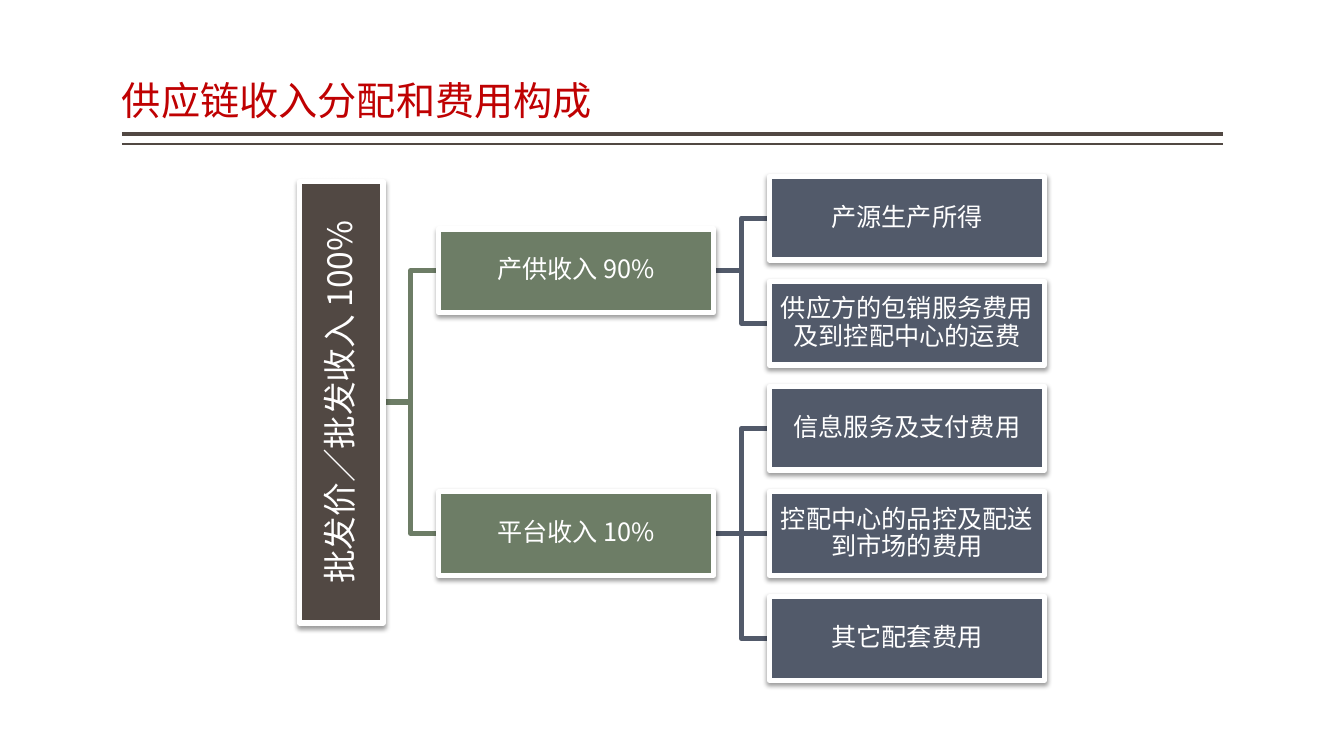
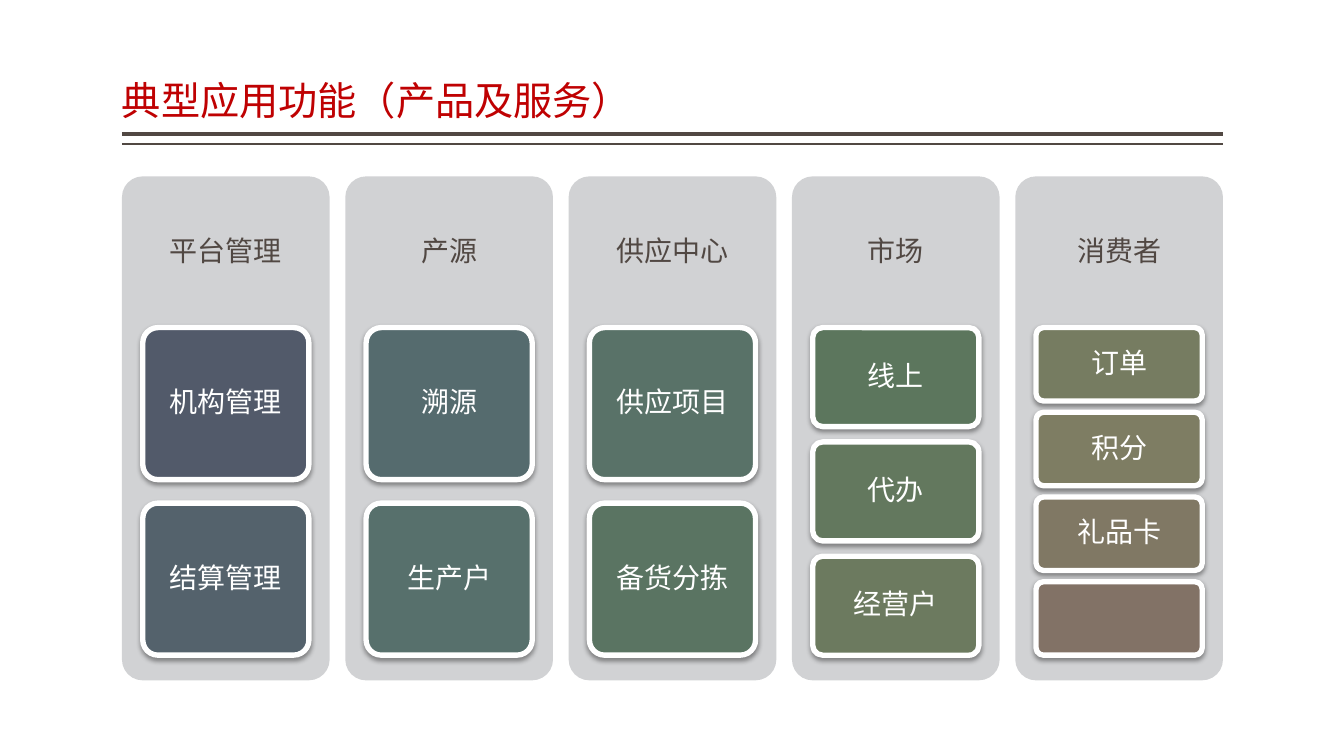
from lxml import etree
from pptx import Presentation
from pptx.dml.color import RGBColor
from pptx.enum import shapes, text
from pptx.oxml.ns import qn
from pptx.util import Inches, Pt

FONT = "Noto Sans CJK SC"
WHITE = RGBColor(0xFF, 0xFF, 0xFF)
RED = RGBColor(0xBF, 0x01, 0x02)
BROWN = RGBColor(0x51, 0x48, 0x43)
GREEN = RGBColor(0x6D, 0x7D, 0x66)
SLATE = RGBColor(0x52, 0x5A, 0x6A)
PANEL_GREY = RGBColor(0xD1, 0xD2, 0xD4)

LEFT, RIGHT, TOP = 1.21, 12.13, 1.75

INCOME_TITLE = "供应链收入分配和费用构成"
INCOME_ROOT = "批发价／批发收入 100%"
INCOME_BRANCHES = [
    ("产供收入 90%", ["产源生产所得", "供应方的包销服务费用及到控配中心的运费"]),
    ("平台收入 10%", ["信息服务及支付费用", "控配中心的品控及配送到市场的费用",
                  "其它配套费用"]),
]

FUNCTIONS_TITLE = "典型应用功能（产品及服务）"
FUNCTION_GROUPS = [
    ("平台管理", [("机构管理", SLATE), ("结算管理", RGBColor(0x54, 0x62, 0x6C))]),
    ("产源", [("溯源", RGBColor(0x55, 0x6B, 0x6E)),
            ("生产户", RGBColor(0x57, 0x70, 0x6C))]),
    ("供应中心", [("供应项目", RGBColor(0x59, 0x72, 0x68)),
              ("备货分拣", RGBColor(0x5A, 0x74, 0x62))]),
    ("市场", [("线上", RGBColor(0x5C, 0x76, 0x5D)),
            ("代办", RGBColor(0x63, 0x78, 0x5E)),
            ("经营户", RGBColor(0x6C, 0x7A, 0x5F))]),
    ("消费者", [("订单", RGBColor(0x76, 0x7C, 0x61)),
             ("积分", RGBColor(0x7E, 0x7D, 0x63)),
             ("礼品卡", RGBColor(0x80, 0x78, 0x64)),
             ("", RGBColor(0x82, 0x72, 0x66))]),
]


def write(shape, words, size, color, margins, align=text.PP_ALIGN.CENTER,
          anchor=text.MSO_ANCHOR.MIDDLE):
    """Fill a shape with one paragraph; margins are left, top, right, bottom."""
    frame = shape.text_frame
    frame.word_wrap = True
    frame.vertical_anchor = anchor
    (frame.margin_left, frame.margin_top,
     frame.margin_right, frame.margin_bottom) = map(Inches, margins)
    paragraph = frame.paragraphs[0]
    paragraph.alignment = align
    paragraph.line_spacing = 0.9
    run = paragraph.add_run()
    run.text = words
    run.font.name = FONT
    run.font.size = Pt(size)
    run.font.color.rgb = color
    etree.SubElement(run.font._element, qn("a:ea"), typeface=FONT)


def add_line(slide, start, end, color, width, kind=shapes.MSO_CONNECTOR.STRAIGHT):
    line = slide.shapes.add_connector(kind, *map(Inches, start + end))
    line.line.color.rgb = color
    line.line.width = Pt(width)
    etree.SubElement(line._element.spPr, qn("a:effectLst"))


def add_block(slide, kind, box, fill):
    shape = slide.shapes.add_shape(kind, *map(Inches, box))
    shape.shadow.inherit = False
    shape.fill.solid()
    shape.fill.fore_color.rgb = fill
    shape.line.fill.background()
    if kind == shapes.MSO_SHAPE.ROUNDED_RECTANGLE:
        shape.adjustments[0] = 0.1
    return shape


def add_card(slide, kind, box, fill, words, size, margins):
    """Add a block with a white border and a soft shadow below it."""
    card = add_block(slide, kind, box, fill)
    card.line.color.rgb = WHITE
    card.line.width = Pt(3.82)
    effects = card._element.spPr.find(qn("a:effectLst"))
    shadow = etree.SubElement(effects, qn("a:outerShdw"), blurRad=str(Pt(3.5)),
                              dist=str(Pt(2)), dir="5400000", rotWithShape="0")
    color = etree.SubElement(shadow, qn("a:srgbClr"), val="000000")
    etree.SubElement(color, qn("a:alpha"), val="38000")
    if words:
        write(card, words, size, WHITE, margins)
    return card


def add_titled_slide(presentation, title):
    slide = presentation.slides.add_slide(presentation.slide_layouts[6])
    for y, width in ((1.33, 3), (1.43, 1)):
        add_line(slide, (LEFT, y), (RIGHT, y), BROWN, width)
    box = slide.shapes.add_textbox(Inches(LEFT), Inches(0.08),
                                   Inches(RIGHT - LEFT), Inches(1.2))
    write(box, title, 28, RED, (0, 0.05, 0, 0.05), text.PP_ALIGN.LEFT,
          text.MSO_ANCHOR.BOTTOM)
    return slide


def build_income_tree(presentation):
    slide = add_titled_slide(presentation, INCOME_TITLE)
    root_length, height, width = 4.38, 0.83, 2.73
    root_x, branch_x, leaf_x = 2.97, 4.35, 7.63
    leaf_step = 1.0425

    def link(x, y, child_x, child_y, color):
        kind = (shapes.MSO_CONNECTOR.STRAIGHT if abs(y - child_y) < 0.01
                else shapes.MSO_CONNECTOR.ELBOW)
        add_line(slide, (x, y), (child_x, child_y), color, 3.78, kind)

    def node(x, y, words, fill, length=width, size=18, inset=0.01):
        return add_card(slide, shapes.MSO_SHAPE.RECTANGLE,
                        (x, y - height / 2, length, height), fill, words, size,
                        (inset,) * 4)

    branches, leaf_y = [], TOP + height / 2
    for name, leaves in INCOME_BRANCHES:
        centres = [leaf_y + index * leaf_step for index in range(len(leaves))]
        leaf_y = centres[-1] + leaf_step
        branches.append((name, sum(centres) / len(centres),
                         list(zip(leaves, centres))))
    root_y = sum(branch[1] for branch in branches) / len(branches)

    for _, y, leaves in branches:
        link(root_x + height, root_y, branch_x, y, GREEN)
        for _, y_leaf in leaves:
            link(branch_x + width, y, leaf_x, y_leaf, SLATE)

    root = node(root_x + (height - root_length) / 2, root_y, INCOME_ROOT, BROWN,
                root_length, 24, 0.02)
    root.rotation = 270
    for name, y, leaves in branches:
        node(branch_x, y, name, GREEN)
        for words, y_leaf in leaves:
            node(leaf_x, y_leaf, words, SLATE)


def build_function_columns(presentation):
    slide = add_titled_slide(presentation, FUNCTIONS_TITLE)
    rounded = shapes.MSO_SHAPE.ROUNDED_RECTANGLE
    panel_width, panel_height, heading_height = 2.06, 5, 1.5
    cards_height, gap_share = 3.25, 0.154
    card_width = 0.8 * panel_width
    step = (RIGHT - LEFT - panel_width) / (len(FUNCTION_GROUPS) - 1)

    for column, (heading, cards) in enumerate(FUNCTION_GROUPS):
        x = LEFT + column * step
        panel = add_block(slide, rounded, (x, TOP, panel_width, panel_height),
                          PANEL_GREY)
        write(panel, heading, 20, BROWN,
              (0.08, 0.08, 0.08, panel_height - heading_height + 0.08))
        count = len(cards)
        height = cards_height / (count + gap_share * (count - 1))
        for row, (words, fill) in enumerate(cards):
            y = TOP + heading_height + row * height * (1 + gap_share)
            add_card(slide, rounded,
                     (x + (panel_width - card_width) / 2, y, card_width, height),
                     fill, words, 20, (0.06, 0.04, 0.06, 0.04))


def main():
    presentation = Presentation()
    presentation.slide_width = Inches(13.33)
    presentation.slide_height = Inches(7.5)
    build_income_tree(presentation)
    build_function_columns(presentation)
    presentation.save("out.pptx")


if __name__ == "__main__":
    main()
